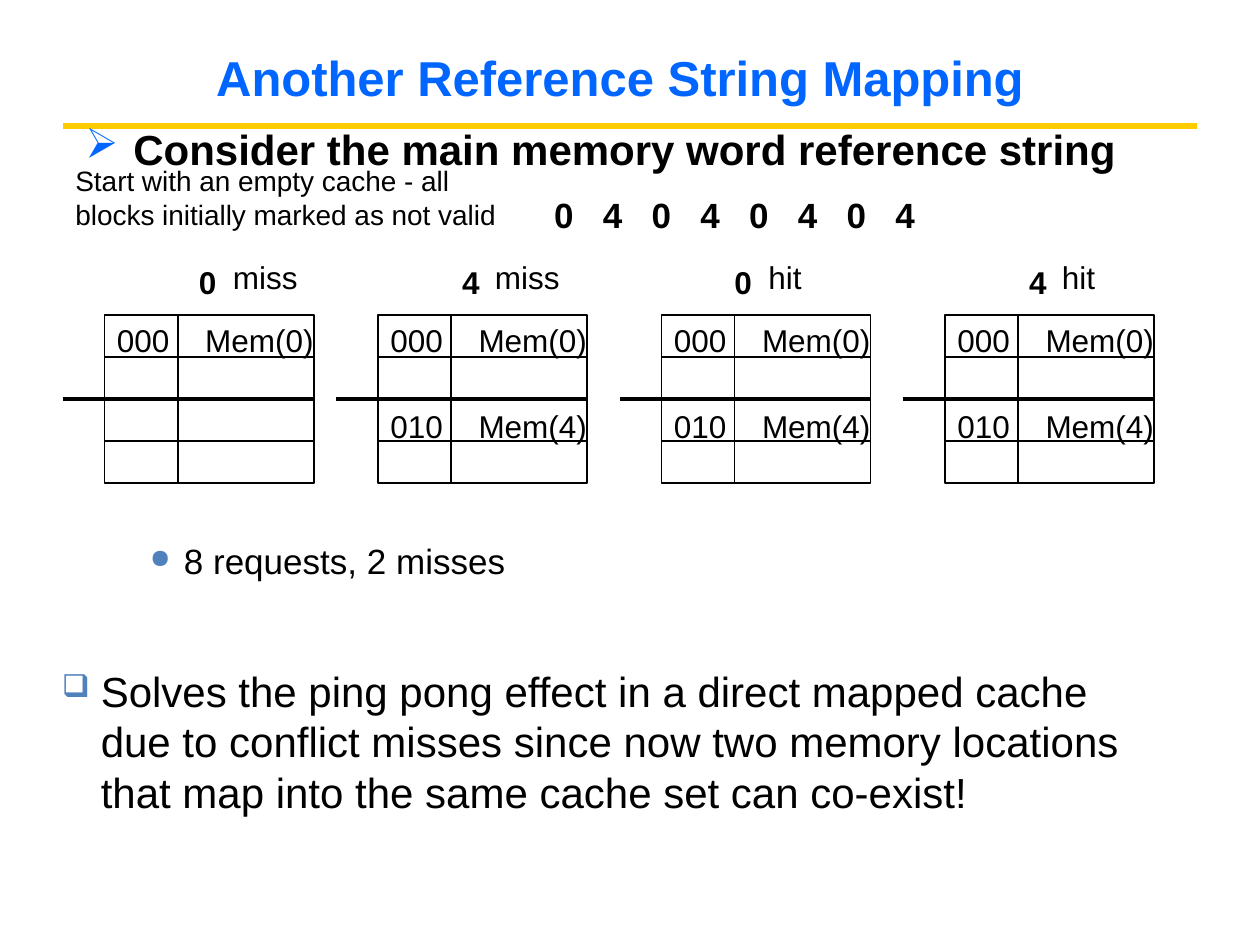
from lxml.etree import SubElement
from pptx import Presentation
from pptx.dml.color import RGBColor
from pptx.enum.shapes import MSO_CONNECTOR as Connector, MSO_SHAPE as Shape
from pptx.enum.text import MSO_ANCHOR as Anchor, MSO_AUTO_SIZE as AutoSize, PP_ALIGN as Align
from pptx.oxml.ns import qn
from pptx.util import Inches, Pt


def color(value):
    """Turn a hex string into a colour."""
    return RGBColor.from_string(value)


class SlideBuilder:
    """Holds the style and the current slide, and adds its elements."""

    FONT = "Arial"
    BLACK, BLUE, YELLOW, BULLET = "000000", "0066FF", "FFCC00", "4F81BD"

    def __init__(self, presentation):
        self.slide = presentation.slides.add_slide(presentation.slide_layouts[5])

    def style(self, paragraph, size, bold=False, fill=BLACK):
        font = paragraph.font
        font.name, font.size, font.bold = self.FONT, Pt(size), bold
        font.color.rgb = color(fill)

    def title(self, text):
        shape = self.slide.shapes.title
        shape.left, shape.top = Inches(0.17), Inches(0.3)
        shape.width, shape.height = Inches(9.5), Inches(0.62)
        frame = shape.text_frame
        frame.text = text
        frame.vertical_anchor = Anchor.MIDDLE
        frame.paragraphs[0].alignment = Align.CENTER
        self.style(frame.paragraphs[0], 28, True, self.BLUE)

    def line(self, left, right, y, width=1, fill=BLACK):
        connector = self.slide.shapes.add_connector(
            Connector.STRAIGHT, Inches(left), Inches(y), Inches(right), Inches(y))
        connector.line.color.rgb = color(fill)
        connector.line.width = Pt(width)
        SubElement(connector._element.spPr, qn("a:effectLst"))

    def box(self, left, top, width, height):
        shape = self.slide.shapes.add_shape(
            Shape.RECTANGLE, Inches(left), Inches(top), Inches(width), Inches(height))
        shape.shadow.inherit = False
        shape.fill.background()
        shape.line.color.rgb = color(self.BLACK)
        shape.line.width = Pt(1)

    def text(self, text, left, top, width, height, size=18, bold=False, wrap=False, tabs=()):
        shape = self.slide.shapes.add_textbox(
            Inches(left), Inches(top), Inches(width), Inches(height))
        frame = shape.text_frame
        frame.word_wrap = wrap
        frame.auto_size = AutoSize.NONE if wrap else AutoSize.SHAPE_TO_FIT_TEXT
        paragraph = frame.paragraphs[0]
        paragraph.text = text
        self.style(paragraph, size, bold)
        if tabs:
            tab_list = SubElement(paragraph._p.get_or_add_pPr(), qn("a:tabLst"))
            paragraph._p.pPr.insert(0, tab_list)
            for position in tabs:
                SubElement(tab_list, qn("a:tab"), pos=str(Inches(position)), algn="l")
        return frame

    def bullet(self, text, place, size, sign, margin, hanging, fill=BULLET, scale=75, bold=False):
        frame = self.text(text, *place, size=size, bold=bold, wrap=True)
        paragraph = frame.paragraphs[0]
        paragraph.space_before = Pt(6)
        properties = paragraph._p.get_or_add_pPr()
        properties.set("marL", str(Inches(margin)))
        properties.set("indent", str(-Inches(hanging)))
        bullet_color = SubElement(properties, qn("a:buClr"))
        SubElement(bullet_color, qn("a:srgbClr"), val=fill)
        bullet_size = SubElement(properties, qn("a:buSzPct"), val=str(scale * 1000))
        bullet_sign = SubElement(properties, qn("a:buChar"), char=sign)
        position = 1
        for element in (bullet_color, bullet_size, bullet_sign):
            properties.insert(position, element)
            position += 1
        return frame

    def small_insets(self, frame):
        frame.margin_left = frame.margin_right = Inches(0.07)
        frame.margin_top = frame.margin_bottom = Inches(0.03)

    def cache(self, left, reference, result, result_left, reference_left, words):
        top, row, tag, data = 2.5, 1 / 3, 0.58, 1.08
        for start, width in ((left, tag), (left + tag, data)):
            self.box(start, top, width, 4 * row)
            for index in (1, 2, 3):
                self.line(start, start + width, top + index * row)
        self.line(left - 0.33, left + tag + data, top + 2 * row, 2.25)
        self.text(reference, reference_left, 2.04, 0.34, 0.4, bold=True)
        self.text(result, result_left, 2, 0.72 if result == "miss" else 0.47, 0.4)
        for word, word_top in zip(words, (2.5, 3.18)):
            self.text(word, left, word_top, 1.76, 0.4, tabs=[0.7])


presentation = Presentation()
presentation.slide_width, presentation.slide_height = Inches(10), Inches(7.5)
builder = SlideBuilder(presentation)

builder.line(0.5, 9.5, 1, 3, builder.YELLOW)
builder.title("Another Reference String Mapping")
heading = builder.bullet("Consider the main memory word reference string", (0.58, 0.83, 8.92, 0.89),
                         24, "\u27a2", 0.38, 0.38, builder.BLUE, 100, True)
heading.paragraphs[0].line_spacing = 1.25
builder.text("\t".join("04040404"), 4.3, 1.49, 3.1, 0.42, 20, True,
             tabs=[0.387 * step for step in range(1, 8)])
builder.text("Start with an empty cache - all blocks initially marked as not valid",
             0.5, 1.25, 3.75, 0.64, 16, wrap=True)

WORDS = ("000\tMem(0)", "010\tMem(4)")
for cache in ((0.83, "0", "miss", 1.75, 1.48, WORDS[:1]),
              (3, "4", "miss", 3.83, 3.57, WORDS),
              (5.25, "0", "hit", 6, 5.73, WORDS),
              (7.5, "4", "hit", 8.33, 8.07, WORDS)):
    builder.cache(*cache)

builder.small_insets(builder.bullet(
    "Solves the ping pong effect in a direct mapped cache due to conflict misses since now "
    "two memory locations that map into the same cache set can co-exist!",
    (0.42, 5.25, 8.92, 1.25), 24, "\u2751", 0.31, 0.31))
builder.small_insets(builder.bullet(
    "8 requests, 2 misses", (0.58, 4.25, 8.92, 0.39), 20, "\u25cf", 0.81, 0.27))

presentation.save("out.pptx")
